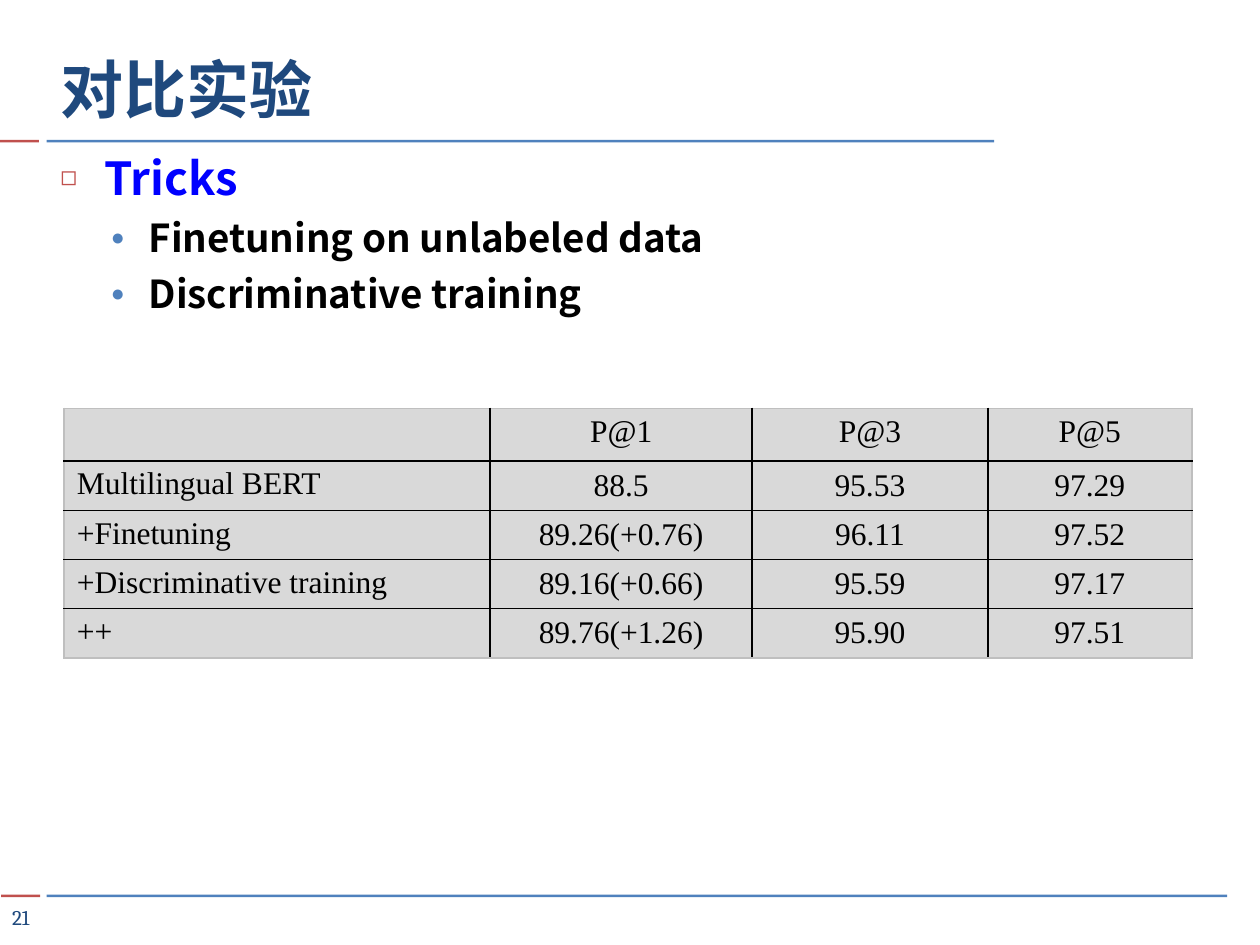
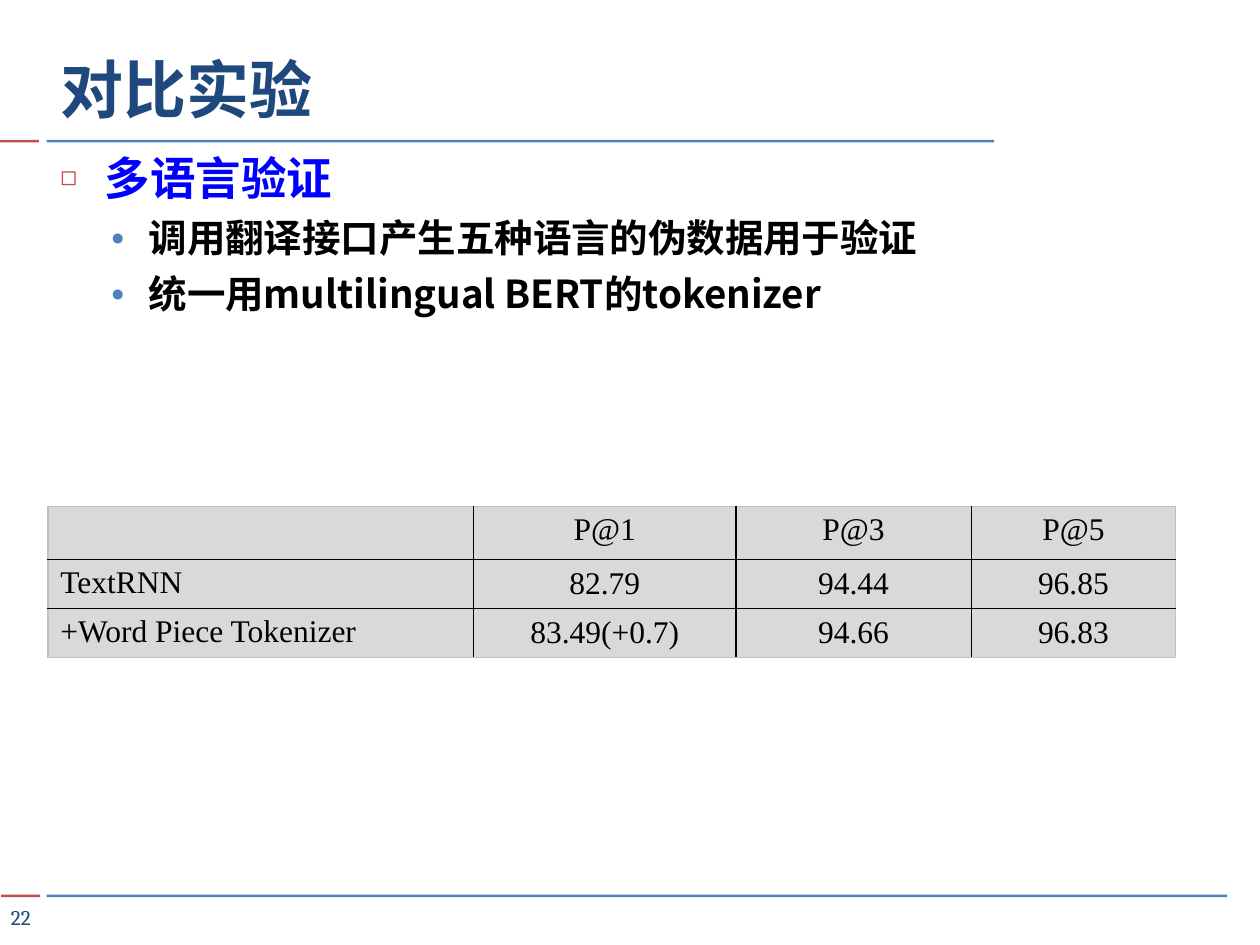
from lxml.etree import SubElement as Sub
from pptx import Presentation
from pptx.dml.color import RGBColor
from pptx.enum.shapes import MSO_SHAPE as Shape
from pptx.enum.text import MSO_ANCHOR as Anchor, MSO_AUTO_SIZE as Fit, PP_ALIGN as Align
from pptx.oxml.ns import qn
from pptx.util import Inches, Pt

# Shared look
RED, BLUE, NAVY = "C0504D", "4F81BD", "1F497D"
VIVID, BLACK, GREY, EDGE = "0000FF", "000000", "D9D9D9", "BFBFBF"
SERIF, SANS, TIMES = "Cambria", "Noto Sans CJK SC", "Times New Roman"
BANDS = [(0, 1.11, 0.31, RED), (0.37, 1.11, 7.52, BLUE),
         (0.01, 7.1, 0.31, RED), (0.37, 7.1, 9.37, BLUE)]
# Per list level: mark, mark colour, margin, hang, space before, size, colour
LEVELS = [("◻", RED, 0.35, 0.35, 7, 26, VIVID),
          ("●", BLUE, 0.7, 0.3, 5.5, 22, BLACK)]
COLS = [3.38, 2.08, 1.87, 1.62]
HEAD = ["", "P@1", "P@3", "P@5"]

# Slide content
TITLE = "对比实验"
SLIDES = [
    dict(num=21, high=2.66, spot=(0.51, 3.24),
         points=["Tricks", "Finetuning on unlabeled data",
                 "Discriminative training"],
         rows=[["Multilingual BERT", "88.5", "95.53", "97.29"],
               ["+Finetuning", "89.26(+0.76)", "96.11", "97.52"],
               ["+Discriminative training", "89.16(+0.66)", "95.59", "97.17"],
               ["++", "89.76(+1.26)", "95.90", "97.51"]]),
    dict(num=22, high=1.93, spot=(0.38, 4.02),
         points=["多语言验证", "调用翻译接口产生五种语言的伪数据用于验证",
                 "统一用multilingual BERT的tokenizer"],
         rows=[["TextRNN", "82.79", "94.44", "96.85"],
               ["+Word Piece Tokenizer", "83.49(+0.7)", "94.66", "96.83"]]),
]


def rgb(code):
    return RGBColor.from_string(code)


def write(para, text, size=18, font=TIMES, color=BLACK, bold=False,
          align=Align.LEFT):
    para.alignment = align
    run = para.add_run()
    run.text = text
    face = run.font
    face.size, face.name, face.bold = Pt(size), font, bold
    face.color.rgb = rgb(color)
    Sub(run._r.get_or_add_rPr(), qn("a:ea"), typeface=SANS)


def place(shape, left, top, width, height):
    shape.left, shape.top = Inches(left), Inches(top)
    shape.width, shape.height = Inches(width), Inches(height)


def add_bands(slide):
    """Draw the rules and move them to the layout that all slides share."""
    tree = slide.slide_layout.shapes.element
    for num, (left, top, width, color) in enumerate(BANDS, 20):
        band = slide.shapes.add_shape(
            Shape.RECTANGLE, Inches(left), Inches(top), Inches(width), Inches(0.02))
        band.shadow.inherit = False
        band.fill.solid()
        band.fill.fore_color.rgb = rgb(color)
        band.line.fill.background()
        band.element.xpath(".//p:cNvPr")[0].set("id", str(num))
        tree.append(band.element)


def add_title(slide, text):
    title = slide.shapes.title
    place(title, 0.38, 0.18, 7.42, 0.87)
    frame = title.text_frame
    frame.vertical_anchor, frame.auto_size = Anchor.BOTTOM, Fit.NONE
    write(frame.paragraphs[0], text, size=36, font=SERIF, color=NAVY, bold=True)


def add_num(slide, num):
    box = slide.shapes.add_textbox(
        Inches(0.02), Inches(7.14), Inches(0.29), Inches(0.28))
    frame = box.text_frame
    frame.word_wrap, frame.vertical_anchor = True, Anchor.MIDDLE
    frame.margin_left = frame.margin_right = 0
    frame.margin_top = frame.margin_bottom = 0
    write(frame.paragraphs[0], str(num), size=12, font=SERIF, color=NAVY,
          align=Align.CENTER)


def add_mark(para, mark, color, left, hang):
    props = para._p.get_or_add_pPr()
    props.set("marL", str(Inches(left)))
    props.set("indent", str(-Inches(hang)))
    Sub(Sub(props, qn("a:buClr")), qn("a:srgbClr"), val=color)
    Sub(props, qn("a:buSzPct"), val="60000")
    Sub(props, qn("a:buChar"), char=mark)


def add_list(slide, points, high):
    """The first point is the heading; the rest go one level down."""
    body = slide.placeholders[1]
    place(body, 0.38, 1.14, 9.2, high)
    frame = body.text_frame
    frame.auto_size = Fit.NONE
    for num, text in enumerate(points):
        para = frame.add_paragraph() if num else frame.paragraphs[0]
        para.level = min(num, 1)
        mark, tint, left, hang, gap, size, color = LEVELS[para.level]
        para.space_before = Pt(gap)
        add_mark(para, mark, tint, left, hang)
        write(para, text, size=size, font=SANS, color=color, bold=True)


def add_edge(cell, side, color):
    line = Sub(cell._tc.get_or_add_tcPr(), qn("a:" + side), w=str(Pt(1)))
    Sub(Sub(line, qn("a:solidFill")), qn("a:srgbClr"), val=color)


def add_grid(slide, rows, spot):
    data = [HEAD] + rows
    highs = [0.42] + [0.32] * len(rows)
    last, end = len(rows), len(COLS) - 1
    table = slide.shapes.add_table(
        len(data), len(COLS), Inches(spot[0]), Inches(spot[1]),
        Inches(sum(COLS)), Inches(sum(highs))).table
    table.first_row = table.horz_banding = False
    for col, width in zip(table.columns, COLS):
        col.width = Inches(width)
    for row, high in zip(table.rows, highs):
        row.height = Inches(high)
    for r, line in enumerate(data):
        for c, text in enumerate(line):
            cell = table.cell(r, c)
            # Black inside, grey around the rim
            rims = dict(lnL=c == 0, lnR=c == end, lnT=r == 0, lnB=r == last)
            for side, rim in rims.items():
                add_edge(cell, side, EDGE if rim else BLACK)
            cell.fill.solid()
            cell.fill.fore_color.rgb = rgb(GREY)
            cell.margin_top = cell.margin_bottom = Inches(0.045)
            cell.vertical_anchor = Anchor.MIDDLE if r and c else Anchor.TOP
            if text:
                write(cell.text_frame.paragraphs[0], text,
                      align=Align.CENTER if c else Align.LEFT)


def main():
    deck = Presentation()
    deck.slide_width, deck.slide_height = Inches(10), Inches(7.5)
    layout = deck.slide_layouts[1]
    for num, part in enumerate(SLIDES):
        slide = deck.slides.add_slide(layout)
        if num == 0:
            add_bands(slide)
        add_title(slide, TITLE)
        add_num(slide, part["num"])
        add_list(slide, part["points"], part["high"])
        add_grid(slide, part["rows"], part["spot"])
    deck.save("out.pptx")


if __name__ == "__main__":
    main()
